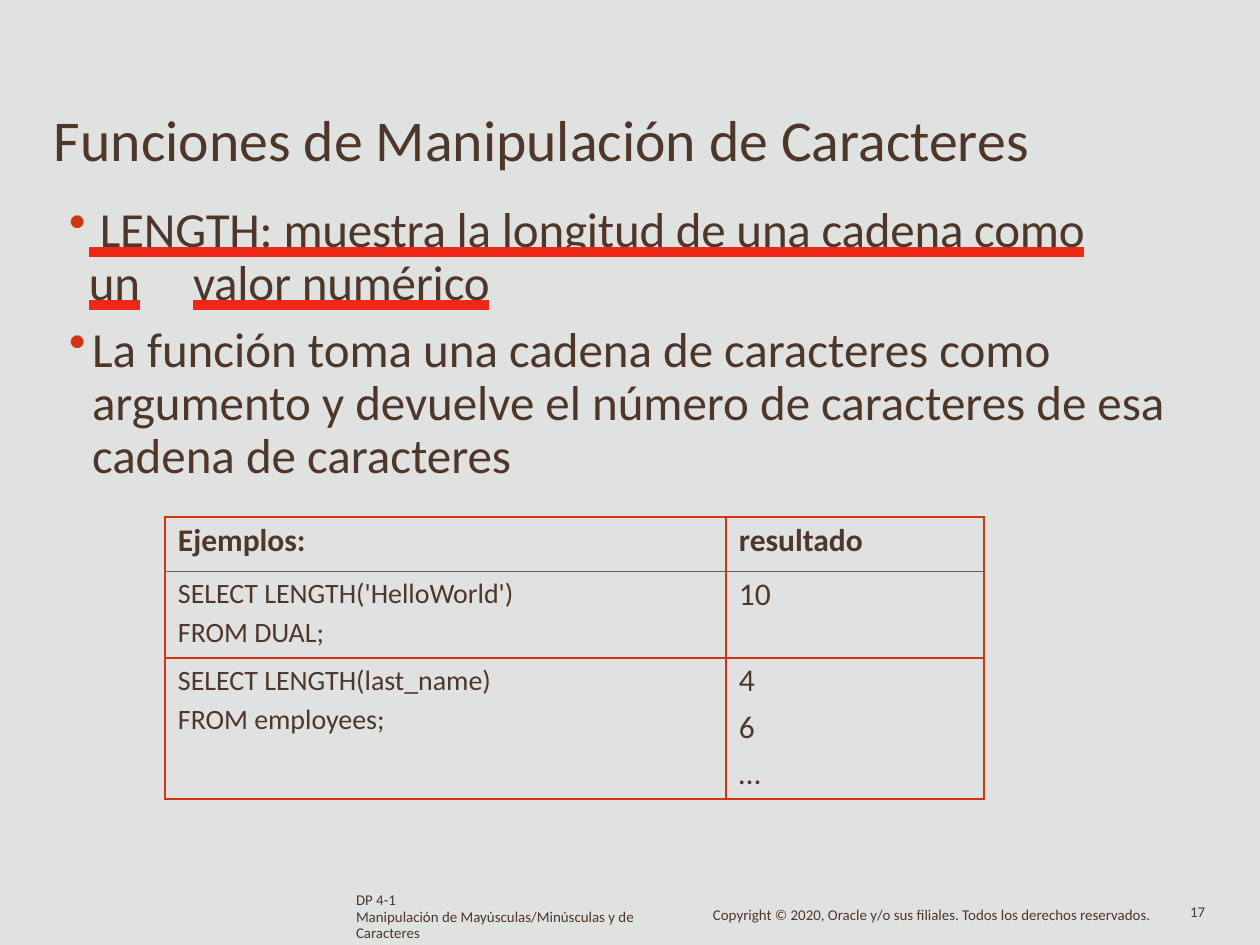
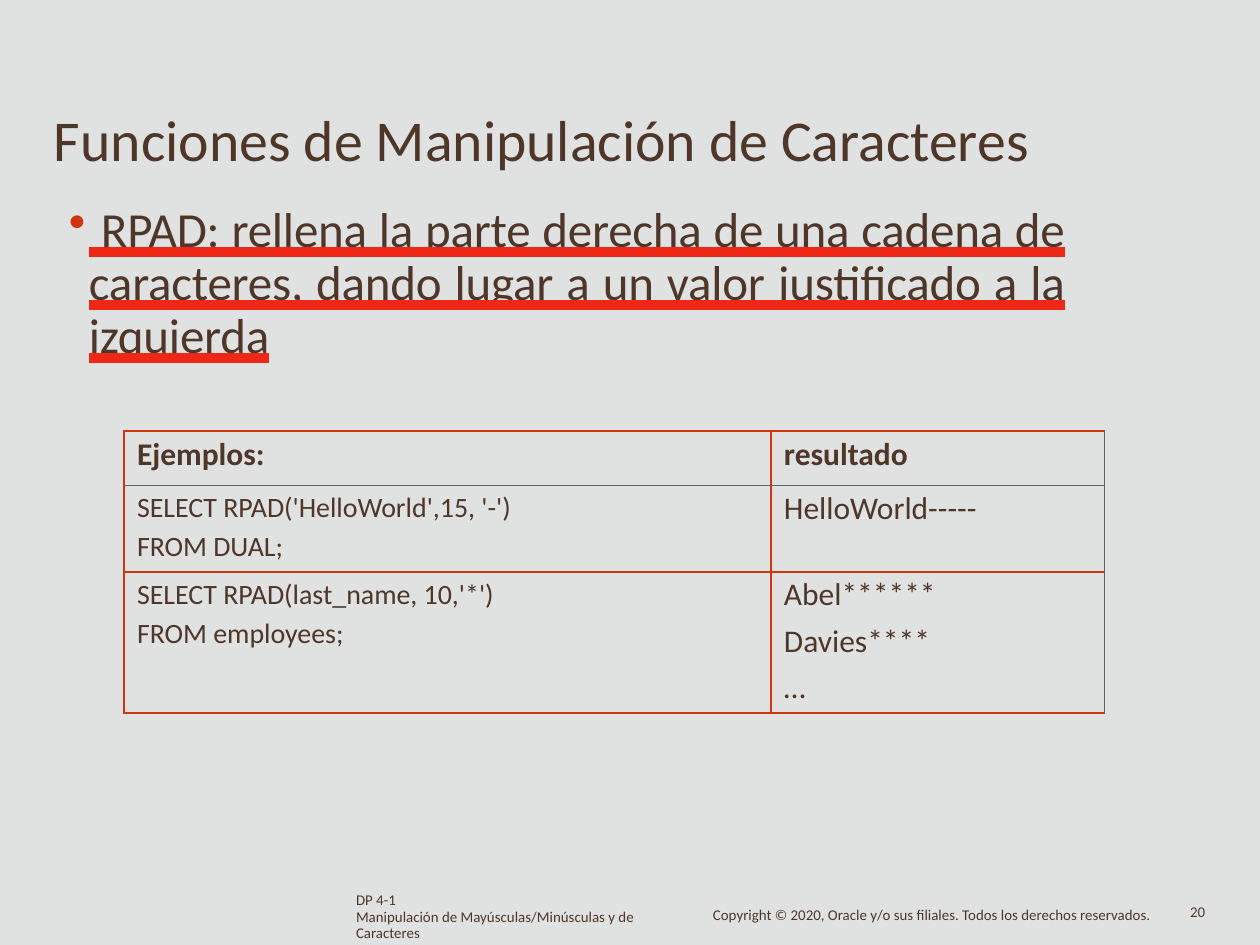
from dataclasses import dataclass

from lxml.etree import SubElement
from pptx import Presentation
from pptx.dml.color import RGBColor
from pptx.enum.text import MSO_UNDERLINE, PP_ALIGN
from pptx.oxml.ns import qn
from pptx.util import Pt

PX = 914400 / 126


@dataclass(frozen=True)
class Theme:
    font: str = "Calibri"
    ground: str = "E0E2E1"
    ink: str = "4E3629"
    accent: str = "D1350F"
    underline: str = "EE2716"
    hairline: str = "5F5F5F"
    title: float = 33
    body: float = 28
    cell: float = 18
    code: float = 16
    footer: float = 8.5


THEME = Theme()
TITLE = "Funciones de Manipulación de Caracteres"
COURSE = ["DP 4-1", "Manipulación de Mayúsculas/Minúsculas y de Caracteres"]
COPYRIGHT = "Copyright © 2020, Oracle y/o sus filiales. Todos los derechos reservados."
HEADINGS = ["Ejemplos:", "resultado"]
ROW_HEIGHTS = [54, 87, 141]


def px(n):
    return round(n * PX)


def assign(obj, values):
    for name, value in values.items():
        setattr(obj, name, value)


def solid(parent, tag, color):
    fill = SubElement(SubElement(parent, qn(tag)), qn("a:solidFill"))
    SubElement(fill, qn("a:srgbClr"), val=color)


def add_run(p, text, size, bold=False, marked=False):
    r = p.add_run()
    r.text = text
    r.font.color.rgb = RGBColor.from_string(THEME.ink)
    if marked:
        r.font.underline = MSO_UNDERLINE.HEAVY_LINE
        rPr = r.font._element
        rPr.set("spc", "-10")
        solid(rPr, "a:uFill", THEME.underline)
    assign(r.font, {"name": THEME.font, "size": Pt(size), "bold": bold})


def fill_text(tf, lines, size, leading=None, gap=0, bold=False):
    for i, line in enumerate(lines):
        p = tf.paragraphs[0] if i == 0 else tf.add_paragraph()
        if leading:
            p.line_spacing = Pt(leading)
        if i:
            p.space_before = Pt(gap)
        add_run(p, line, size, bold)


def text_frame(s, box, top=0):
    tf = s.shapes.add_textbox(*map(px, box)).text_frame
    assign(tf, {"word_wrap": True, "margin_left": 0, "margin_right": 0,
                "margin_top": px(top), "margin_bottom": 0})
    return tf


def add_title(s, box):
    fill_text(text_frame(s, box, 1), [TITLE], THEME.title)


def add_footer(s, box, number):
    x, y, w, h = box
    fill_text(text_frame(s, (x + 1, y, 283, h)), COURSE, THEME.footer, 9.2, 0.6)
    fill_text(text_frame(s, (x + 358, y + 16, 444, 19)), [COPYRIGHT], THEME.footer, 9.1)
    fill_text(text_frame(s, (x + w - 42, y + 13, 42, 21)), [str(number)], THEME.footer, 9.1)


def add_bullets(s, box, bullets, align):
    tf = text_frame(s, box, 9)
    for i, (indent, pieces) in enumerate(bullets):
        p = tf.paragraphs[0] if i == 0 else tf.add_paragraph()
        assign(p, {"alignment": align, "line_spacing": Pt(30.3)})
        if i:
            p.space_before = Pt(8)
        pPr = p._p.get_or_add_pPr()
        pPr.set("marL", str(px(indent)))
        pPr.set("indent", str(px(2 - indent)))
        color = SubElement(pPr, qn("a:buClr"))
        SubElement(color, qn("a:srgbClr"), val=THEME.accent)
        SubElement(pPr, qn("a:buChar"), char="•")
        for text, marked in pieces:
            if text == "\n":
                p.add_line_break()
            else:
                add_run(p, text, THEME.body, marked=marked)


def set_border(cell, side, color, width):
    ln = SubElement(cell._tc.get_or_add_tcPr(), qn("a:ln" + side), w=str(Pt(width)))
    fill = SubElement(ln, qn("a:solidFill"))
    SubElement(fill, qn("a:srgbClr"), val=color)


def add_examples(s, origin, widths, rows, thin_right):
    x, y = origin
    frame = s.shapes.add_table(3, 2, px(x), px(y), px(sum(widths)), px(sum(ROW_HEIGHTS)))
    table = frame.table
    assign(table, {"first_row": False, "horz_banding": False})
    for column, width in zip(table.columns, widths):
        column.width = px(width)
    for row, height in zip(table.rows, ROW_HEIGHTS):
        row.height = px(height)
    for i, row in enumerate([[[h] for h in HEADINGS]] + rows):
        for j, lines in enumerate(row):
            cell = table.cell(i, j)
            code = i > 0 and j == 0
            assign(cell, {"margin_left": px(13), "margin_right": 0,
                          "margin_top": px(1 if code else 5 if i < 2 else 4),
                          "margin_bottom": 0})
            if code:
                fill_text(cell.text_frame, lines, THEME.code, 22.3)
            else:
                fill_text(cell.text_frame, lines, THEME.cell, gap=4.4, bold=i == 0)
            thin = {"R": thin_right and j == 1, "T": i == 1, "B": i == 0}
            for side in "LRTB":
                style = (THEME.hairline, 0.5) if thin.get(side) else (THEME.accent, 1)
                set_border(cell, side, *style)
            cell.fill.background()


def add_function_slide(prs, number, bullets, body, align, origin, widths, rows,
                       thin_right=False):
    s = prs.slides.add_slide(prs.slide_layouts[6])
    add_title(s, (54, 103, 980, 73))
    add_footer(s, (355, 892, 877, 50), number)
    add_bullets(s, body, bullets, align)
    add_examples(s, origin, widths, rows, thin_right)


def main():
    prs = Presentation()
    assign(prs, {"slide_width": px(1260), "slide_height": px(945)})
    ground = prs.slide_master.background.fill
    ground.solid()
    ground.fore_color.rgb = RGBColor.from_string(THEME.ground)

    add_function_slide(
        prs, 17,
        [(22, [(" LENGTH: muestra la longitud de una cadena como", True), ("\n", False),
               ("un", True), ("\t", False), ("valor numérico", True)]),
         (25, [("La función toma una cadena de caracteres como argumento y devuelve "
                "el número de caracteres de esa cadena de caracteres", False)])],
        (67, 195, 1101, 289), PP_ALIGN.LEFT, (165, 517), (561, 258),
        [[["SELECT LENGTH('HelloWorld')", "FROM DUAL;"], ["10"]],
         [["SELECT LENGTH(last_name)", "FROM employees;"], ["4", "6", "…"]]])

    add_function_slide(
        prs, 20,
        [(22, [(" RPAD: rellena la parte derecha de una cadena de caracteres, dando "
                "lugar a un valor justificado a la izquierda", True)])],
        (67, 195, 998, 168), PP_ALIGN.JUSTIFY, (124, 431), (647, 333),
        [[["SELECT RPAD('HelloWorld',15, '-')", "FROM DUAL;"], ["HelloWorld-----"]],
         [["SELECT RPAD(last_name, 10,'*')", "FROM employees;"],
          ["Abel******", "Davies****", "…"]]],
        thin_right=True)

    prs.save("out.pptx")


if __name__ == "__main__":
    main()
